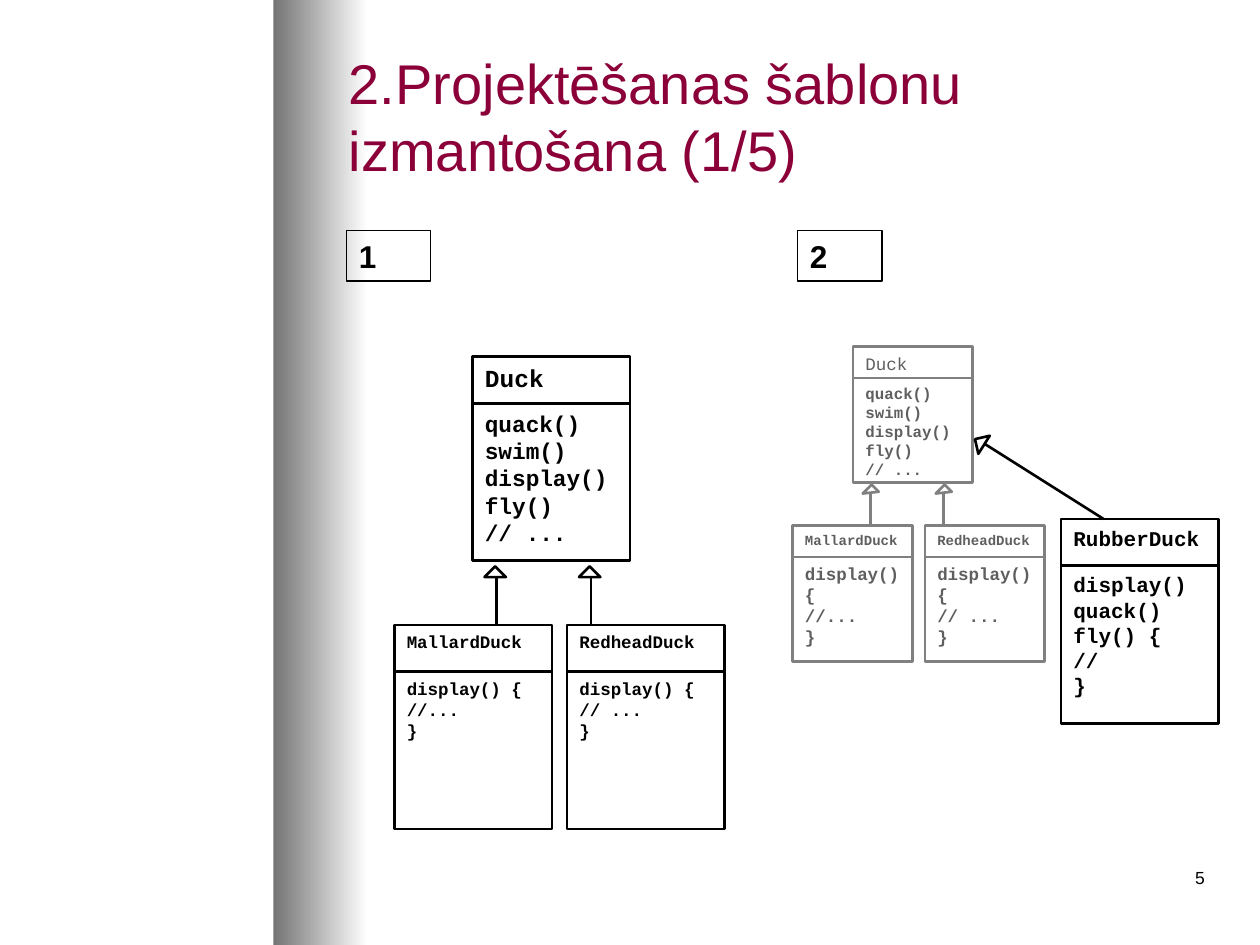
"""Build the slide on using design patterns, with two duck class diagrams."""
from lxml import etree
from pptx import Presentation
from pptx import util as u
from pptx.dml.color import RGBColor
from pptx.enum import shapes, text
from pptx.oxml.ns import qn

Inches, rgb = u.Inches, RGBColor.from_string
BLACK, GREY, GREY_TEXT, WHITE = "000000", "808080", "5F5F5F", "FFFFFF"

deck = Presentation()
deck.slide_width, deck.slide_height = Inches(10), Inches(7.5)
slide = deck.slides.add_slide(deck.slide_layouts[6])


def add_box(left, top, width, height, words="", size=10, ink=BLACK, bold=True, font="Courier New",
            line=BLACK, weight=1.5, fill=WHITE, kind=shapes.MSO_SHAPE.RECTANGLE):
    box = slide.shapes.add_shape(kind, Inches(left), Inches(top), Inches(width), Inches(height))
    box.shadow.inherit = False
    if fill:
        box.fill.solid()
        box.fill.fore_color.rgb = rgb(fill)
    else:
        box.fill.background()
    if line:
        box.line.color.rgb = rgb(line)
        box.line.width = u.Pt(weight)
    else:
        box.line.fill.background()
    frame = box.text_frame
    frame.word_wrap = True
    frame.vertical_anchor = text.MSO_ANCHOR.TOP
    frame.text = words
    for paragraph in frame.paragraphs:
        paragraph.alignment = text.PP_ALIGN.LEFT
        for run in paragraph.runs:
            run.font.name, run.font.size, run.font.bold = font, u.Pt(size), bold
            run.font.color.rgb = rgb(ink)
    return box


def add_inheritance(start, end, head, width, height, angle, color):
    stem = slide.shapes.add_connector(shapes.MSO_CONNECTOR.STRAIGHT, *map(Inches, start + end))
    stem.line.color.rgb = rgb(color)
    stem.line.width = u.Pt(1.5)
    etree.SubElement(stem._element.spPr, qn("a:effectLst"))
    tip = add_box(*head, width, height, line=color, kind=shapes.MSO_SHAPE.RIGHT_TRIANGLE)
    tip.rotation = angle


band = add_box(2.17, 0, 0.75, 7.5, line=None)
band.fill.gradient()
band.fill.gradient_angle = 0
for stop, shade in zip(band.fill.gradient_stops, ("747474", WHITE)):
    stop.color.rgb = rgb(shade)

title = add_box(2.67, 0.25, 7, 1.33, "2.Projektēšanas šablonu izmantošana (1/5)", 32, "8C0039",
                False, "Arial", line=None, fill=None)
title.text_frame.vertical_anchor = text.MSO_ANCHOR.MIDDLE

for number, left in (("1", 2.75), ("2", 6.33)):
    add_box(left, 1.83, 0.67, 0.4, number, 18, font="Arial", weight=0.75, fill=None)

for x in (7.49, 6.91):
    add_inheritance((x, 4.67), (x, 3.92), (x - 0.05, 3.87), 0.1, 0.08, 135, GREY)
for x in (4.69, 3.94):
    add_inheritance((x, 5.71), (x, 4.58), (x - 0.07, 4.52), 0.12, 0.12, 135, BLACK)

duck = "quack()\nswim()\ndisplay()\nfly()\n// ..."
mallard = "display() {\n//...\n}"
redhead = "display() {\n// ...\n}"
rubber = "display()\nquack()\nfly() {\n//\n}"
large = (1.25, 0.37, 1.25, BLACK, BLACK)
small = (0.95, 0.25, 0.83, GREY, GREY_TEXT)
classes = [
    (3.75, 2.83, large, "Duck", 14, duck, 13),
    (3.13, 4.96, large, "MallardDuck", 10, mallard, 10),
    (4.5, 4.96, large, "RedheadDuck", 10, redhead, 10),
    (6.77, 2.75, small, "Duck", 10, duck, 9),
    (6.29, 4.17, small, "MallardDuck", 8, mallard, 10),
    (7.34, 4.17, small, "RedheadDuck", 8, redhead, 10),
    (8.42, 4.12, large, "RubberDuck", 12, rubber, 12),
]
for left, top, style, name, name_size, methods, method_size in classes:
    width, name_height, methods_height, line, ink = style
    plain = style is small and name == "Duck"
    add_box(left, top, width, name_height, name, name_size, ink, not plain, line=line)
    add_box(left, top + name_height, width, methods_height, methods, method_size, ink, line=line)

add_inheritance((8.76, 4.12), (7.81, 3.52), (7.75, 3.47), 0.12, 0.12, 77.2, BLACK)

page = add_box(7.58, 6.83, 2.08, 0.5, "5", 10, bold=False, font="Arial", line=None, fill=None)
page.text_frame.paragraphs[0].alignment = text.PP_ALIGN.RIGHT

deck.save("out.pptx")
